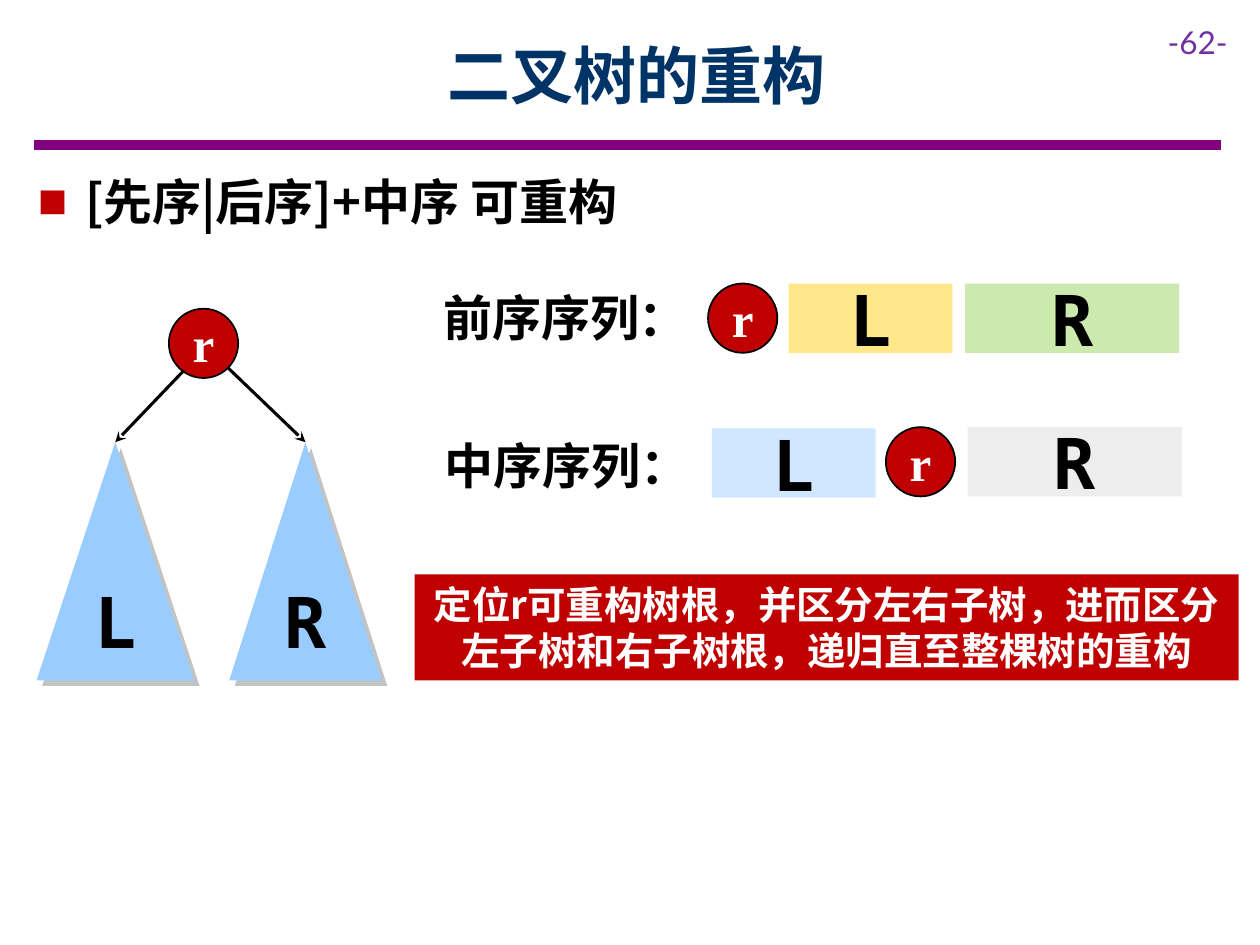
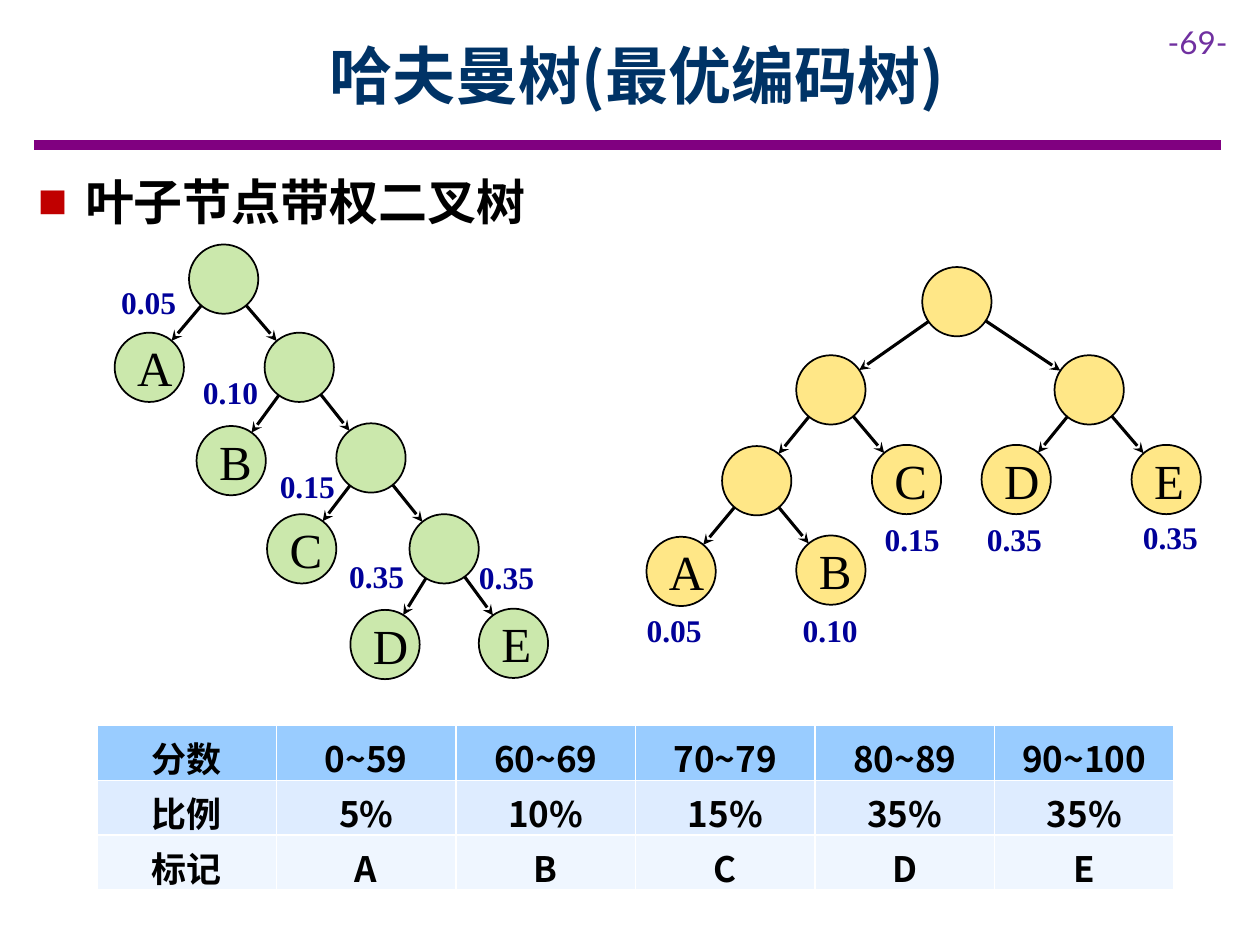
from dataclasses import dataclass
from math import hypot

from lxml.etree import SubElement
from pptx import Presentation
from pptx.dml.color import RGBColor
from pptx.enum.shapes import MSO_CONNECTOR as Link, MSO_SHAPE as Kind
from pptx.enum.text import MSO_ANCHOR as Anchor, MSO_AUTO_SIZE as Fit, PP_ALIGN as Align
from pptx.oxml.ns import qn
from pptx.util import Pt

HAN, SERIF, MONO = "Noto Sans CJK SC", "Times New Roman", "DejaVu Sans Mono"


@dataclass(frozen=True)
class Theme:
    black: str = "000000"
    red: str = "C00000"
    band: str = "800080"
    blue: str = "99CCFF"
    green: str = "92D050"
    gold: str = "FFCC00"
    gray: str = "D9D9D9"
    shade: str = "888888"
    rows: tuple = ("99CCFF", "DEECFF", "EFF6FF")
    # Type styles: size, font, colour, bold
    title: tuple = (36, HAN, "003366", True)
    body: tuple = (28, HAN, "000000", True)
    page: tuple = (18, "Lato", "7030A0", False)
    root: tuple = (28, SERIF, "FFFFFF", True)
    subtree: tuple = (40, MONO, "000000", True)
    note: tuple = (22, HAN, "FFFFFF", True)
    leaf: tuple = (28, SERIF, "000000", False)
    weight: tuple = (18, SERIF, "000099", True)
    cell: tuple = (20, HAN, "000000", True)


T = Theme()
NODE = 39.6


def write(frame, text, style, align=Align.CENTER):
    """Fill the first paragraph of a text frame and style it."""
    size, face, color, bold = style
    para = frame.paragraphs[0]
    para.text = text
    para.alignment = align
    font = para.font
    font.size, font.bold, font.name = Pt(size), bold, face
    font.color.rgb = RGBColor.from_string(color)
    props = para._p.pPr.find(qn("a:defRPr"))
    SubElement(props, qn("a:ea")).set("typeface", face)
    return para


def draw(slide, kind, box, fill, text="", style=None, alpha=100, edge=False, pad=7.2):
    """Add a preset shape with an optional see-through fill and black outline."""
    shape = slide.shapes.add_shape(kind, *map(Pt, box))
    shape.shadow.inherit = False
    shape.fill.solid()
    shape.fill.fore_color.rgb = RGBColor.from_string(fill)
    if alpha < 100:
        color = shape._element.spPr.find(qn("a:solidFill"))[0]
        SubElement(color, qn("a:alpha")).set("val", str(alpha * 1000))
    if edge:
        shape.line.color.rgb = RGBColor.from_string(T.black)
        shape.line.width = Pt(1)
    else:
        shape.line.fill.background()
    if text:
        frame = shape.text_frame
        frame.word_wrap = True
        frame.vertical_anchor = Anchor.MIDDLE
        frame.margin_left = frame.margin_right = Pt(7.2)
        frame.margin_top = frame.margin_bottom = Pt(pad)
        write(frame, text, style)
    return shape


deck = Presentation()
deck.slide_width, deck.slide_height = Pt(720), Pt(540)
lines = []  # slide, start, end, colour, width, arrow
slides = []

# Shared frame: title, page number, band and bullet
for title, bullet, page in (
    ("二叉树的重构", "[先序|后序]+中序 可重构", "-62-"),
    ("哈夫曼树(最优编码树)", "叶子节点带权二叉树", "-69-"),
):
    slide = deck.slides.add_slide(deck.slide_layouts[1])
    slides.append(slide)
    lines.append((slide, (19.4, 82.8), (697.7, 82.8), T.band, 6, False))

    head, body = slide.placeholders
    head.left, head.top, head.width, head.height = map(Pt, (64.8, 6.5, 598.3, 72))
    head.text_frame.auto_size = Fit.NONE
    head.text_frame.vertical_anchor = Anchor.MIDDLE
    write(head.text_frame, title, T.title)

    body.left, body.top, body.width, body.height = map(Pt, (14.4, 94.3, 402.5, 41))
    body.text_frame.auto_size = Fit.NONE
    para = body.text_frame.paragraphs[0]
    para.space_before, para.space_after = Pt(0), Pt(6)
    props = para._p.get_or_add_pPr()
    props.set("marL", str(Pt(27)))
    props.set("indent", str(-Pt(27)))
    color = SubElement(props, qn("a:buClr"))
    SubElement(color, qn("a:srgbClr")).set("val", T.red)
    SubElement(props, qn("a:buChar")).set("char", "■")
    write(body.text_frame, bullet, T.body, Align.LEFT)

    box = slide.shapes.add_textbox(*map(Pt, (660.2, 9.4, 59.8, 28.8)))
    box.text_frame.word_wrap = True
    write(box.text_frame, page, T.page, Align.LEFT)

build, huff = slides

# Slide 1: tree with two subtrees
for text, x, width, start in (
    ("L", 20.9, 90, (105.1, 211.7)),
    ("R", 131, 87.1, (130.3, 210.2)),
):
    tri = draw(build, Kind.ISOSCELES_TRIANGLE, (x, 252.7, width, 136.1), T.blue, text, T.subtree)
    effect = tri._element.spPr.find(qn("a:effectLst"))
    shadow = SubElement(effect, qn("a:outerShdw"), dist=str(Pt(4.5)), dir="2700000")
    color = SubElement(shadow, qn("a:srgbClr"), val=T.shade)
    SubElement(color, qn("a:alpha"), val="50000")
    lines.append((build, start, (x + width / 2, 252.7), T.black, 1.75, True))

# Slide 1: roots and the blocks of both sequences
for x, y in ((96.5, 176.4), (404.6, 162), (506.2, 244.1)):
    draw(build, Kind.OVAL, (x, y, NODE, NODE), T.red, "r", T.root, edge=True)

for text, x, y, width, fill in (
    ("L", 450.7, 162, 93.6, T.gold),
    ("R", 551.5, 162, 122.4, T.green),
    ("L", 406.8, 244.8, 93.6, T.blue),
    ("R", 553, 244.1, 122.4, T.gray),
):
    draw(build, Kind.RECTANGLE, (x, y, width, NODE), fill, text, T.subtree, alpha=46)

for text, x, y in (("前序序列：", 246.2, 160.6), ("中序序列：", 247, 245.5)):
    box = build.shapes.add_textbox(*map(Pt, (x, y, 207.4, 41)))
    box.text_frame.word_wrap = True
    write(box.text_frame, text, T.body, Align.LEFT).space_after = Pt(6)

draw(
    build, Kind.RECTANGLE, (236.9, 328.3, 470.9, 60.5), T.red,
    "定位r可重构树根，并区分左右子树，进而区分左子树和右子树根，递归直至整棵树的重构",
    T.note, pad=3.6,
)

# Slide 2: nodes are letter, x, y, index of parent; spots place the weights
weights = {"A": "0.05", "B": "0.10", "C": "0.15", "D": "0.35", "E": "0.35"}
skew = (
    ("", 108, 139.7, None),
    ("A", 65.5, 190.1, 0),
    ("", 151.2, 190.1, 0),
    ("B", 112.3, 243.4, 2),
    ("", 192.2, 241.9, 2),
    ("C", 152.6, 293.8, 4),
    ("", 234, 293.8, 4),
    ("D", 200.2, 348.5, 6),
    ("E", 273.6, 347.8, 6),
)
even = (
    ("", 527, 152.6, None),
    ("", 455, 203, 0),
    ("", 602.6, 203, 0),
    ("", 412.6, 254.9, 1),
    ("C", 498.2, 254.2, 1),
    ("D", 560.9, 254.2, 2),
    ("E", 646.6, 254.2, 2),
    ("A", 369.4, 306.7, 3),
    ("B", 455, 306, 3),
)
skew_spots = {"A": (61.9, 158.4), "B": (108.7, 209.5), "C": (152.6, 263.5),
              "D": (192.2, 314.6), "E": (266.4, 315.4)}
even_spots = {"A": (362.2, 345.6), "B": (451.4, 345.6), "C": (498.2, 293.8),
              "D": (556.6, 293.8), "E": (645.8, 292.3)}

for nodes, spots, fill in ((skew, skew_spots, T.green), (even, even_spots, T.gold)):
    for letter, x, y, up in nodes:
        draw(huff, Kind.OVAL, (x, y, NODE, NODE), fill, letter, T.leaf, alpha=47, edge=True)
        if up is None:
            continue
        # Join the two rims along the line of centres
        px, py = nodes[up][1:3]
        reach = NODE / 2 / hypot(x - px, y - py)
        dx, dy = (x - px) * reach, (y - py) * reach
        mid = NODE / 2
        start = (px + mid + dx, py + mid + dy)
        end = (x + mid - dx, y + mid - dy)
        lines.append((huff, start, end, T.black, 1.75, True))
    for letter, (x, y) in spots.items():
        box = huff.shapes.add_textbox(*map(Pt, (x, y, 46.1, 28.8)))
        box.text_frame.word_wrap = False
        box.text_frame.vertical_anchor = Anchor.MIDDLE
        write(box.text_frame, weights[letter], T.weight)

# Slide 2: grade table
grades = (
    ("分数", "0~59", "60~69", "70~79", "80~89", "90~100"),
    ("比例", "5%", "10%", "15%", "35%", "35%"),
    ("标记", "A", "B", "C", "D", "E"),
)
table = huff.shapes.add_table(3, 6, *map(Pt, (55.4, 414.7, 615.6, 93.6))).table
for r, (row, fill) in enumerate(zip(grades, T.rows)):
    for c, text in enumerate(row):
        cell = table.cell(r, c)
        cell.fill.solid()
        cell.fill.fore_color.rgb = RGBColor.from_string(fill)
        write(cell.text_frame, text, T.cell)

# Bands and arrows
for slide, start, end, color, width, arrow in lines:
    line = slide.shapes.add_connector(Link.STRAIGHT, *map(Pt, start + end))
    line.line.color.rgb = RGBColor.from_string(color)
    line.line.width = Pt(width)
    props = line._element.spPr
    if arrow:
        SubElement(props.find(qn("a:ln")), qn("a:tailEnd"), type="stealth")
    SubElement(props, qn("a:effectLst"))

deck.save("out.pptx")
